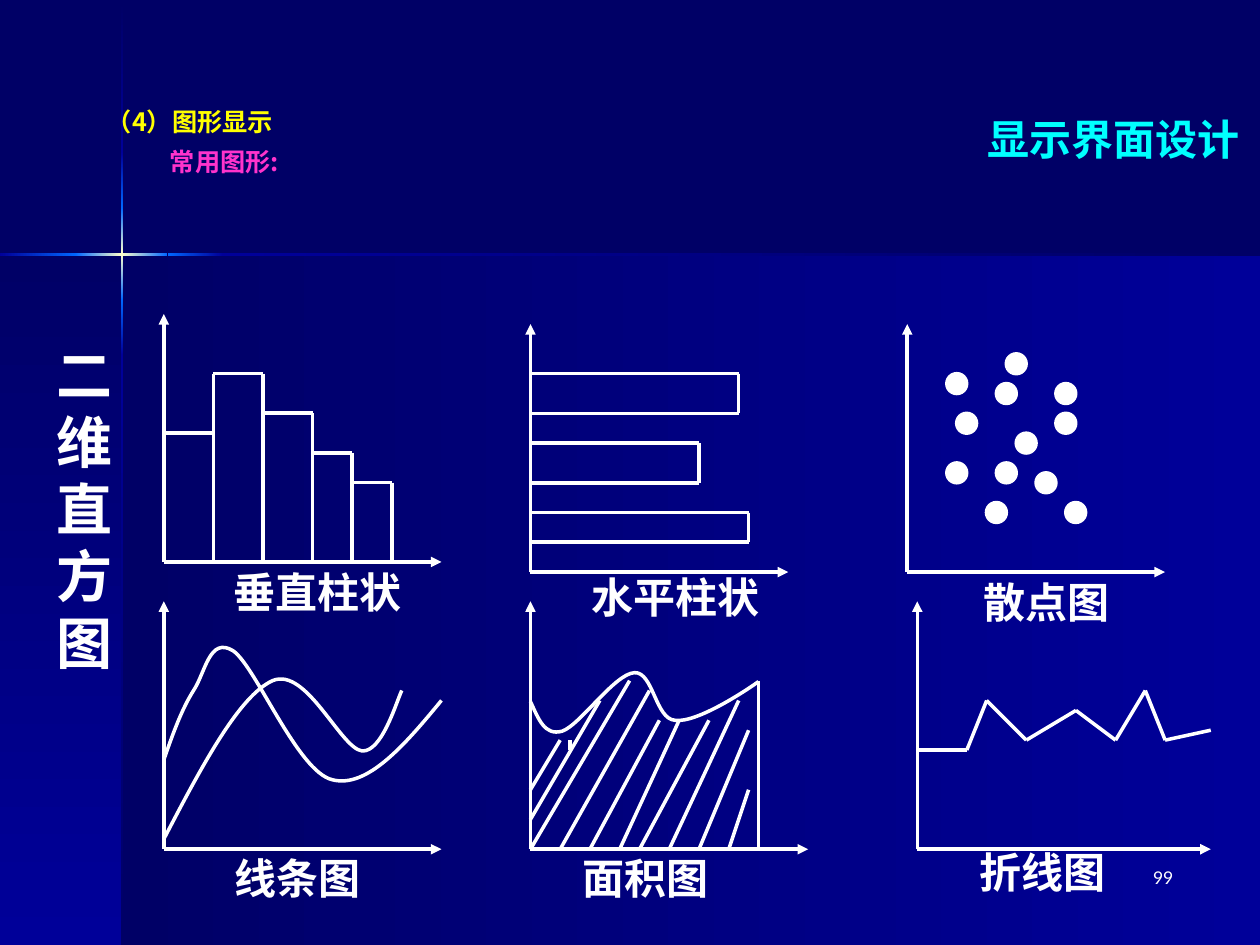
import copy
from dataclasses import dataclass
from typing import NamedTuple

import pptx
import pptx.dml.color
import pptx.enum.shapes
import pptx.enum.text
import pptx.oxml.ns
import pptx.util
from lxml import etree

COLORS = {
    "night": "000066", "navy": "000099", "blue": "0066FF", "glow": "FFFFCC",
    "white": "FFFFFF", "cyan": "00FFFF", "yellow": "FFFF00", "pink": "FF33CC",
}
UNIT = 0.0787  # grid step of the diagrams, in inches
LINE_WIDTH = 2
LATIN, CJK = "Lato", "Noto Sans CJK SC"
Inches, Pt, qn = pptx.util.Inches, pptx.util.Pt, pptx.oxml.ns.qn
Align, Anchor = pptx.enum.text.PP_ALIGN, pptx.enum.text.MSO_ANCHOR
Point = tuple[float, float]


class Band(NamedTuple):
    box: tuple[float, float, float, float]
    stops: tuple[str, ...]
    angle: int  # clockwise, in degrees


@dataclass
class Panel:
    """A diagram with its origin in inches; all else is in grid units, y upward."""
    left: float
    bottom: float
    columns: float
    label: str
    label_box: tuple[float, float, float, float]
    rows: float = 25

    def place(self, point: Point) -> tuple[int, int]:
        x, y = point
        return Inches(self.left + x * UNIT), Inches(self.bottom - y * UNIT)


@dataclass
class Label:
    box: tuple[float, float, float, float]
    lines: tuple[str, ...]
    size: float
    colors: tuple[str, ...] = ("white",)
    align: Align = Align.LEFT
    anchor: Anchor = Anchor.TOP
    bold: bool = True
    wrap: bool = True
    font: str = LATIN
    side_inset: float = 0.1
    bottom_inset: float = 0.05
    indents: tuple[float, ...] = (0,)
    spacing: float = 1
    space_before: float = 0


def rgb(name: str):
    return pptx.dml.color.RGBColor.from_string(COLORS[name])


def draw_band(shapes, band: Band) -> None:
    shape = shapes.add_shape(pptx.enum.shapes.MSO_SHAPE.RECTANGLE, *map(Inches, band.box))
    shape.shadow.inherit = False
    shape.line.fill.background()
    shape.fill.gradient()
    shape.fill.gradient_angle = (360 - band.angle) % 360
    stop_list = shape._element.spPr.find(".//" + qn("a:gsLst"))
    if len(band.stops) == 3:
        stop_list.append(copy.deepcopy(stop_list[0]))
    for index, (stop, name) in enumerate(zip(shape.fill.gradient_stops, band.stops)):
        stop.position = index / (len(band.stops) - 1)
        stop.color.rgb = rgb(name)


def draw_label(shapes, label: Label) -> None:
    frame = shapes.add_textbox(*map(Inches, label.box)).text_frame
    frame.word_wrap = label.wrap
    frame.vertical_anchor = label.anchor
    frame.margin_left = frame.margin_right = Inches(label.side_inset)
    frame.margin_bottom = Inches(label.bottom_inset)
    frame.text = "\n".join(label.lines)
    for index, paragraph in enumerate(frame.paragraphs):
        paragraph.alignment = label.align
        paragraph.line_spacing = label.spacing
        paragraph.space_before = Pt(label.space_before)
        indent = label.indents[index % len(label.indents)]
        paragraph._p.get_or_add_pPr().set("marL", str(Inches(indent)))
        font = paragraph.runs[0].font
        font.size, font.bold, font.name = Pt(label.size), label.bold, label.font
        font.color.rgb = rgb(label.colors[index % len(label.colors)])
        etree.SubElement(font._element, qn("a:ea"), typeface=CJK)


def draw_line(shapes, panel: Panel, start: Point, end: Point, arrow: bool = False) -> None:
    connector = shapes.add_connector(pptx.enum.shapes.MSO_CONNECTOR.STRAIGHT,
                                     *panel.place(start), *panel.place(end))
    connector.line.color.rgb = rgb("white")
    connector.line.width = Pt(LINE_WIDTH)
    if arrow:
        etree.SubElement(connector.line._get_or_add_ln(), qn("a:tailEnd"), type="triangle")
    etree.SubElement(connector._element.spPr, qn("a:effectLst"))


def draw_path(shapes, panel: Panel, points: list[Point]) -> None:
    for start, end in zip(points, points[1:]):
        draw_line(shapes, panel, start, end)


def draw_curve(shapes, panel: Panel, points: list[Point]) -> None:
    """Draw a start point followed by triples of Bezier points."""
    builder = shapes.build_freeform(*panel.place(points[0]))
    builder.add_line_segments([panel.place(point) for point in points[1:]], close=False)
    shape = builder.convert_to_shape()
    shape.shadow.inherit = False
    shape.fill.background()
    shape.line.color.rgb = rgb("white")
    shape.line.width = Pt(LINE_WIDTH)
    outline = shape._element.spPr.find(".//" + qn("a:path"))
    segments = outline.findall(qn("a:lnTo"))
    for first in range(0, len(segments), 3):
        curve = etree.SubElement(outline, qn("a:cubicBezTo"))
        for segment in segments[first:first + 3]:
            curve.append(segment[0])
            outline.remove(segment)


def draw_dot(shapes, panel: Panel, center: Point) -> None:
    x, y = center
    shape = shapes.add_shape(pptx.enum.shapes.MSO_SHAPE.OVAL, *panel.place((x - 1, y + 1)),
                             Inches(2 * UNIT), Inches(2 * UNIT))
    shape.shadow.inherit = False
    shape.fill.solid()
    shape.fill.fore_color.rgb = rgb("white")
    shape.line.color.rgb = rgb("white")
    shape.line.width = Pt(LINE_WIDTH)


BANDS = [
    Band((0.97, 2.02, 9.03, 5.48), ("navy", "night"), 180),
    Band((0, 2.02, 0.97, 5.48), ("night", "navy"), 90),
    # Vertical ray, then horizontal ray
    Band((0.96, 0.01, 0.02, 1.2), ("night", "navy"), 90),
    Band((0.96, 2.82, 0.02, 4.68), ("navy", "night"), 90),
    Band((1.77, 2.01, 8.23, 0.02), ("night", "navy"), 180),
    Band((0.96, 2.38, 0.02, 0.44), ("blue", "navy"), 90),
    Band((0.96, 1.21, 0.02, 0.44), ("navy", "blue"), 90),
    Band((0.96, 1.65, 0.02, 0.73), ("blue", "glow", "blue"), 90),
    Band((0, 2.01, 0.61, 0.02), ("blue", "navy"), 180),
    Band((1.33, 2.01, 0.44, 0.02), ("navy", "blue"), 180),
    Band((0.6, 2.01, 0.73, 0.02), ("blue", "glow", "blue"), 180),
]
LABELS = [
    Label((7.74, 0.52, 2.26, 1.57), ("显示界面设计",), 24, ("cyan",),
          anchor=Anchor.MIDDLE, bottom_inset=0.45),
    Label((0.75, 0.84, 8.56, 0.71), ("（4）图形显示", "常用图形:"), 14.4, ("yellow", "pink"),
          font=CJK, indents=(0, 0.5), spacing=0.8, space_before=9),
    Label((0.35, 2.65, 0.63, 2.77), ("二", "维直方图"), 32, align=Align.CENTER),
    Label((7.33, 6.83, 2.08, 0.5), ("99",), 10, align=Align.RIGHT, bold=False),
]
COLUMN_CHART = Panel(1.3, 4.46, 28, "垂直柱状", (1.77, 4.46, 1.5, 0.47))
BAR_CHART = Panel(4.21, 4.54, 26, "水平柱状", (4.61, 4.54, 1.5, 0.39))
SCATTER = Panel(7.2, 4.54, 26, "散点图", (7.52, 4.54, 1.57, 0.47))
CURVES = Panel(1.3, 6.74, 28, "线条图", (1.85, 6.82, 1.02, 0.29))
AREA = Panel(4.21, 6.74, 28, "面积图", (4.61, 6.82, 1.02, 0.29))
POLYLINE = Panel(7.28, 6.74, 29.6, "折线图", (7.76, 6.74, 1.02, 0.36))

COLUMN_EDGES, COLUMN_HEIGHTS = [0, 5, 10, 15, 19, 23], [13, 19, 15, 11, 8]
BARS = [(20, 16, 21), (13, 9, 17), (6, 3, 22)]  # top, bottom, length
DOTS = [(11, 21), (5, 19), (10, 18), (6, 15), (16, 18), (12, 13), (5, 10), (10, 10),
        (16, 15), (14, 9), (9, 6), (17, 6)]
WAVES = [
    [(0, 1), (3.8, 8.3), (7.6, 15.5), (11, 17), (14.4, 18.4), (17.8, 10.2), (20, 9.9),
     (22, 9.8), (23.4, 14.7), (24, 16)],
    [(0, 9), (0.9, 11.6), (1.8, 14.1), (3, 16), (4.2, 17.8), (4.6, 21.5), (7, 20),
     (9.3, 18.4), (13.5, 7.8), (17, 7), (20.5, 6.1), (24.3, 10.5), (28, 15)],
]
AREA_TOP = [(0, 14.9), (0.8, 13.2), (1.4, 11.4), (3.2, 11.9), (5, 12.5), (8.5, 17.7),
            (10.5, 17.8), (12.4, 17.9), (12.6, 13.1), (14.6, 13), (16.8, 12.7),
            (21.9, 16.1), (23, 16.9)]
HATCHES = [((3, 11), (0, 6)), ((4, 10), (4, 11)), ((7, 15), (0, 3)), ((10, 17), (0, 0)),
           ((12, 16), (3, 0)), ((13, 13), (6, 0)), ((15, 13), (9, 0)), ((18, 13), (11, 0)),
           ((21, 15), (14, 0)), ((22, 12), (17, 0)), ((22, 6), (20, 0))]
ZIGZAG = [(0, 10), (5, 10), (7, 15), (11, 11), (16, 14), (20, 11), (23, 16), (25, 11), (29.6, 12)]


def main() -> None:
    presentation = pptx.Presentation()
    presentation.slide_width, presentation.slide_height = Inches(10), Inches(7.5)
    slide = presentation.slides.add_slide(presentation.slide_layouts[6])
    shapes = slide.shapes
    # Background and headings
    slide.background.fill.solid()
    slide.background.fill.fore_color.rgb = rgb("night")
    for band in BANDS:
        draw_band(shapes, band)
    for label in LABELS:
        draw_label(shapes, label)
    # Axes and captions
    for panel in (COLUMN_CHART, BAR_CHART, SCATTER, CURVES, AREA, POLYLINE):
        for end in ((0, panel.rows), (panel.columns, 0)):
            draw_line(shapes, panel, (0, 0), end, arrow=True)
        draw_label(shapes, Label(panel.label_box, (panel.label,), 24, align=Align.CENTER,
                                 anchor=Anchor.MIDDLE, wrap=False, side_inset=0))
    # Columns: a top edge and a divider as tall as the higher neighbour
    for index, height in enumerate(COLUMN_HEIGHTS):
        left, right = COLUMN_EDGES[index:index + 2]
        draw_line(shapes, COLUMN_CHART, (left, height), (right, height))
        draw_line(shapes, COLUMN_CHART, (right, max(COLUMN_HEIGHTS[index:index + 2])), (right, 0))
    # Contents of the other diagrams
    for top, bottom, length in BARS:
        draw_path(shapes, BAR_CHART, [(0, top), (length, top), (length, bottom), (0, bottom)])
    for center in DOTS:
        draw_dot(shapes, SCATTER, center)
    for wave in WAVES:
        draw_curve(shapes, CURVES, wave)
    draw_curve(shapes, AREA, AREA_TOP)
    for start, end in [((23, 17), (23, 0)), *HATCHES]:
        draw_line(shapes, AREA, start, end)
    draw_path(shapes, POLYLINE, ZIGZAG)
    presentation.save("out.pptx")


if __name__ == "__main__":
    main()
